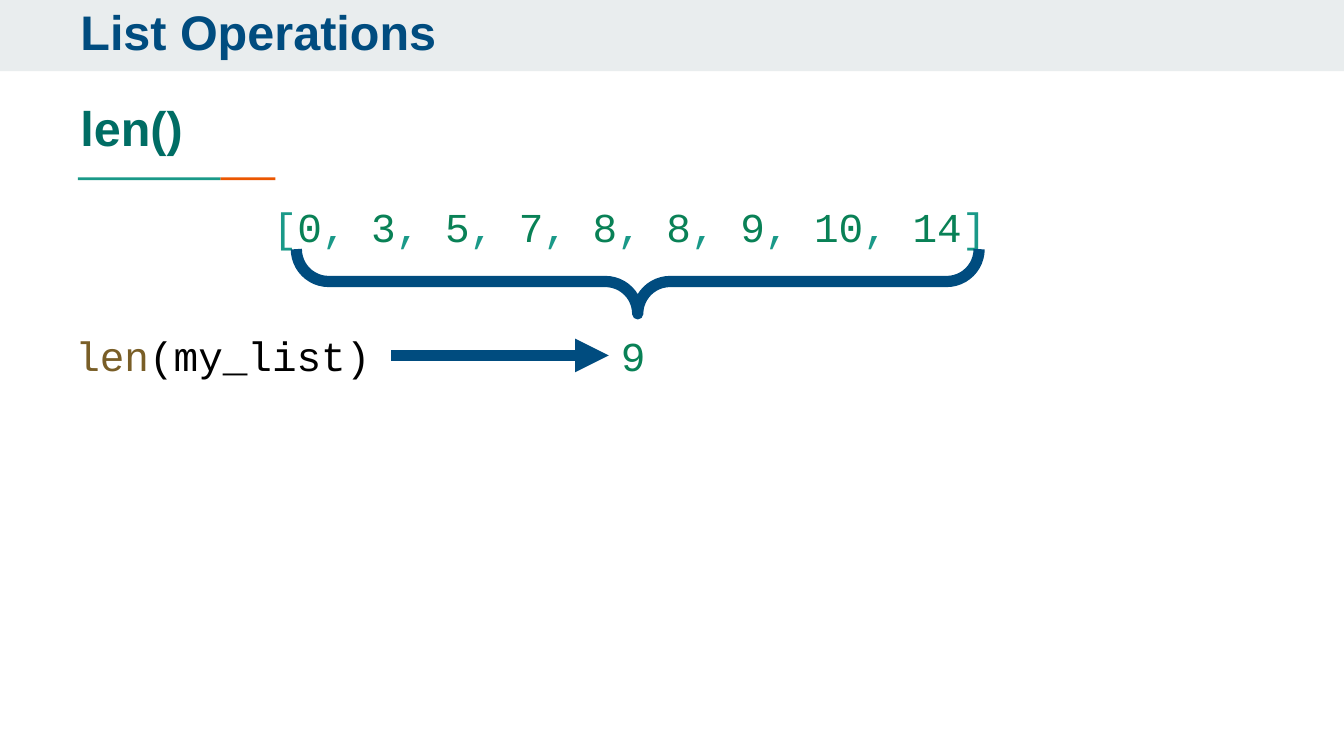
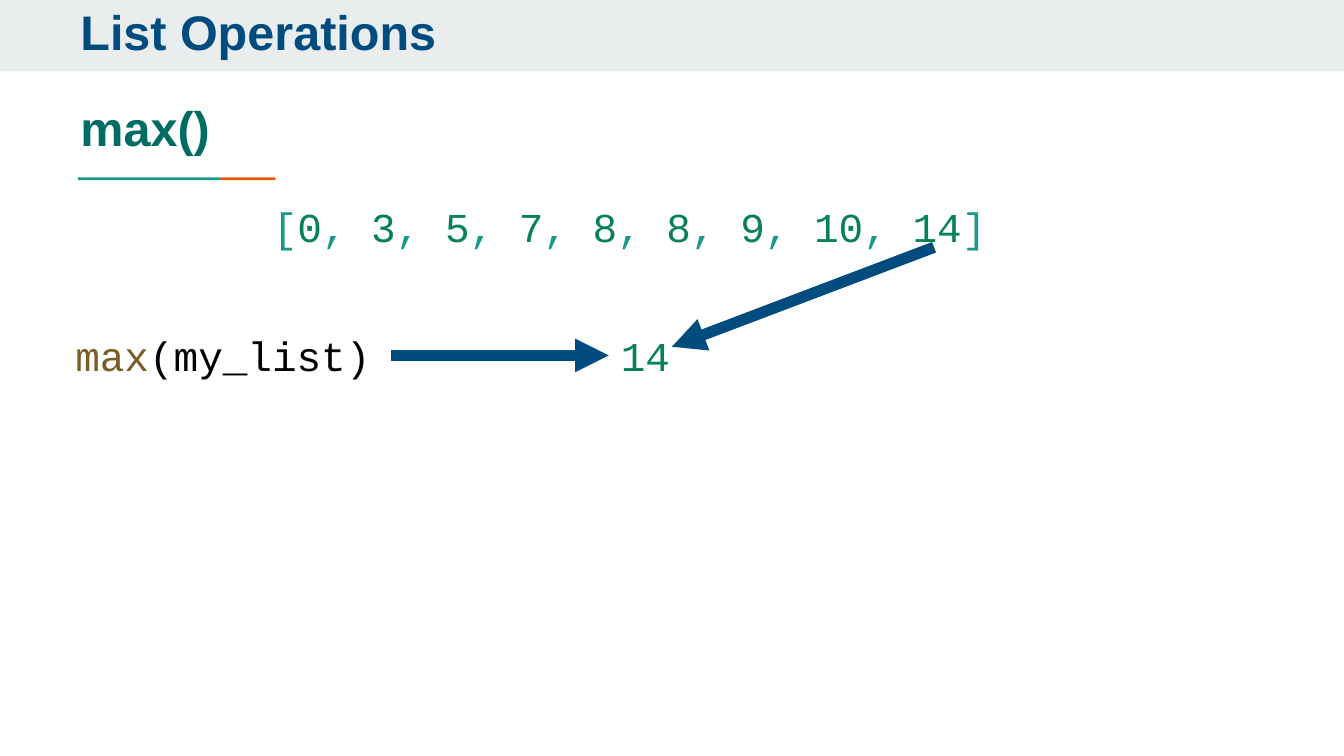
from lxml import etree
from pptx import Presentation
from pptx.dml.color import RGBColor
from pptx.enum.shapes import MSO_CONNECTOR, MSO_SHAPE
from pptx.oxml.ns import qn
from pptx.util import Inches, Pt

RECT = MSO_SHAPE.RECTANGLE
BRACES = MSO_SHAPE.DOUBLE_BRACE
LINE = MSO_CONNECTOR.STRAIGHT

GREY = RGBColor(0xE9, 0xED, 0xEE)
NAVY = RGBColor(0x00, 0x4C, 0x7F)
PINE = RGBColor(0x00, 0x6D, 0x64)
TEAL = RGBColor(0x1A, 0x99, 0x88)
ORANGE = RGBColor(0xEB, 0x56, 0x00)
GREEN = RGBColor(0x09, 0x81, 0x56)
BROWN = RGBColor(0x79, 0x5E, 0x27)
BLACK = RGBColor(0x00, 0x00, 0x00)

WIDTH = 10
HEIGHT = WIDTH * 9 / 16
STROKE = Pt(6)
VALUES = [0, 3, 5, 7, 8, 8, 9, 10, 14]


def add_text(slide, box, runs, font="Courier New", size=22, bold=False,
             inset=(0.04, 0.02), spacing=None):
    """Add one line of text; runs is a list of (text, colour)."""
    frame = slide.shapes.add_textbox(*map(Inches, box)).text_frame
    frame.word_wrap = True
    frame.margin_left = frame.margin_right = Inches(inset[0])
    frame.margin_top = frame.margin_bottom = Inches(inset[1])
    para = frame.paragraphs[0]
    para.line_spacing = spacing
    for text, color in runs:
        run = para.add_run()
        run.text = text
        run.font.name = font
        run.font.size = Pt(size)
        run.font.bold = bold
        run.font.color.rgb = color


def add_title(slide, box, text, color):
    add_text(slide, box, [(text, color)], font="Arial", size=26, bold=True,
             inset=(0.1, 0.1), spacing=0.8)


def add_bar(slide, box, color):
    bar = slide.shapes.add_shape(RECT, *map(Inches, box))
    bar.shadow.inherit = False
    bar.fill.solid()
    bar.fill.fore_color.rgb = color
    bar.line.fill.background()


def add_arrow(slide, start, end):
    arrow = slide.shapes.add_connector(LINE, *map(Inches, start + end))
    arrow.line.color.rgb = NAVY
    arrow.line.width = STROKE
    etree.SubElement(arrow.line._get_or_add_ln(), qn("a:tailEnd"),
                     type="triangle")
    etree.SubElement(arrow._element.spPr, qn("a:effectLst"))


def add_braces(slide, box):
    """Turn a pair of braces on its side, so the lower one spans the list."""
    pair = slide.shapes.add_shape(BRACES, *map(Inches, box))
    pair.rotation = 270
    pair.shadow.inherit = False
    pair.fill.background()
    pair.line.color.rgb = NAVY
    pair.line.width = STROKE


def add_header(slide, name):
    add_bar(slide, (0, 0, WIDTH, 0.53), GREY)
    add_bar(slide, (1.64, 1.32, 0.41, 0.02), ORANGE)
    add_bar(slide, (0.58, 1.32, 1.06, 0.02), TEAL)
    add_title(slide, (0.5, 0, 3.83, 0.59), "List Operations", NAVY)
    add_title(slide, (0.5, 0.71, 4.92, 0.59), f"{name}()", PINE)


def add_list(slide, box):
    runs = [("[", TEAL)]
    for value in VALUES[:-1]:
        runs += [(str(value), GREEN), (", ", TEAL)]
    runs += [(str(VALUES[-1]), GREEN), ("]", TEAL)]
    add_text(slide, box, runs)


def add_call(slide, box, name, result):
    """Show the call, an arrow and its result."""
    left, top, width, height = box
    middle = top + height / 2
    add_text(slide, box, [(name, BROWN), ("(my_list)", BLACK)])
    add_arrow(slide, (left + 2.39, middle), (left + 4.01, middle))
    digits = str(result)
    add_text(slide, (left + 4.06, top, 0.13 + 0.2 * len(digits), height),
             [(digits, GREEN)])


def add_slide(deck, name, result):
    slide = deck.slides.add_slide(deck.slide_layouts[6])
    add_header(slide, name)
    add_list(slide, (1.99, 1.48, 5.66, 0.41))
    add_call(slide, (0.52, 2.44, 4.79, 0.41), name, result)
    return slide


def main():
    deck = Presentation()
    deck.slide_width, deck.slide_height = Inches(WIDTH), Inches(HEIGHT)
    count = add_slide(deck, "len", len(VALUES))
    add_braces(count, (3.3, -1.65, 2.89, 5.08))
    largest = add_slide(deck, "max", max(VALUES))
    add_arrow(largest, (6.95, 1.84), (5, 2.58))
    deck.save("out.pptx")


if __name__ == "__main__":
    main()
